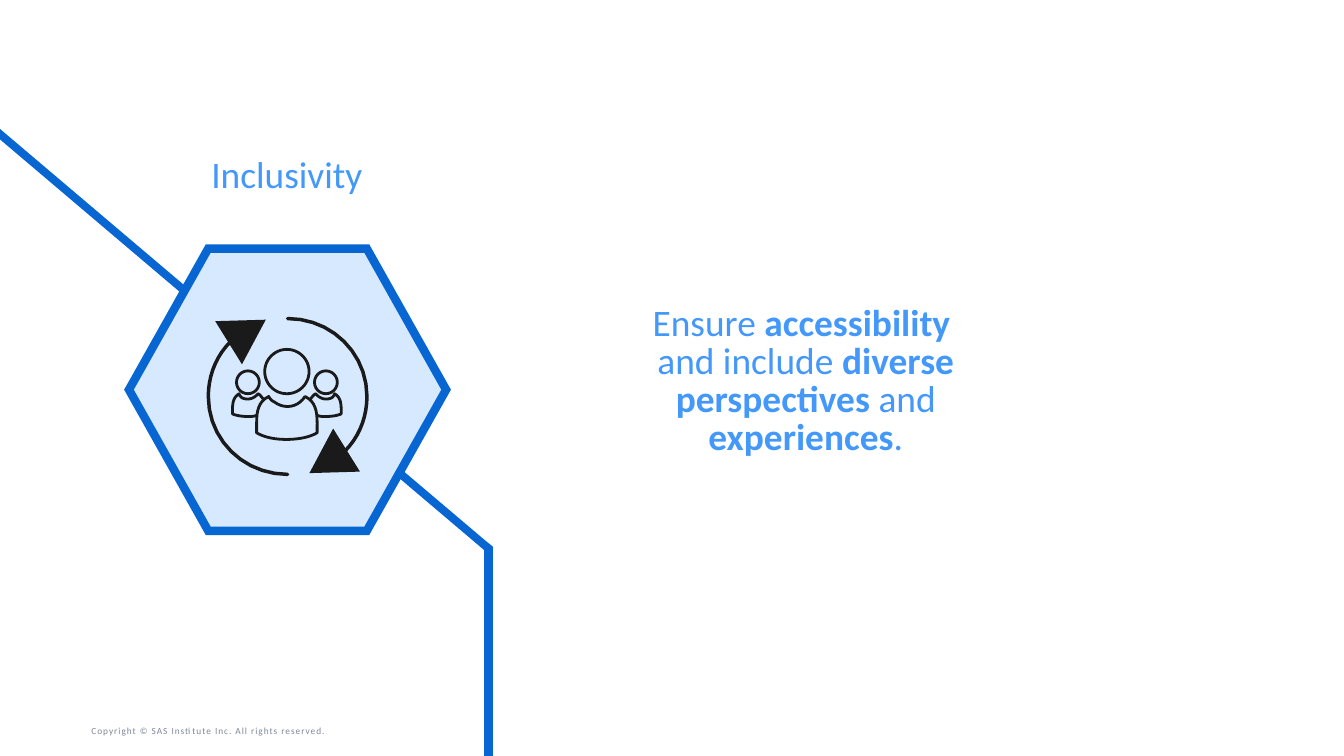
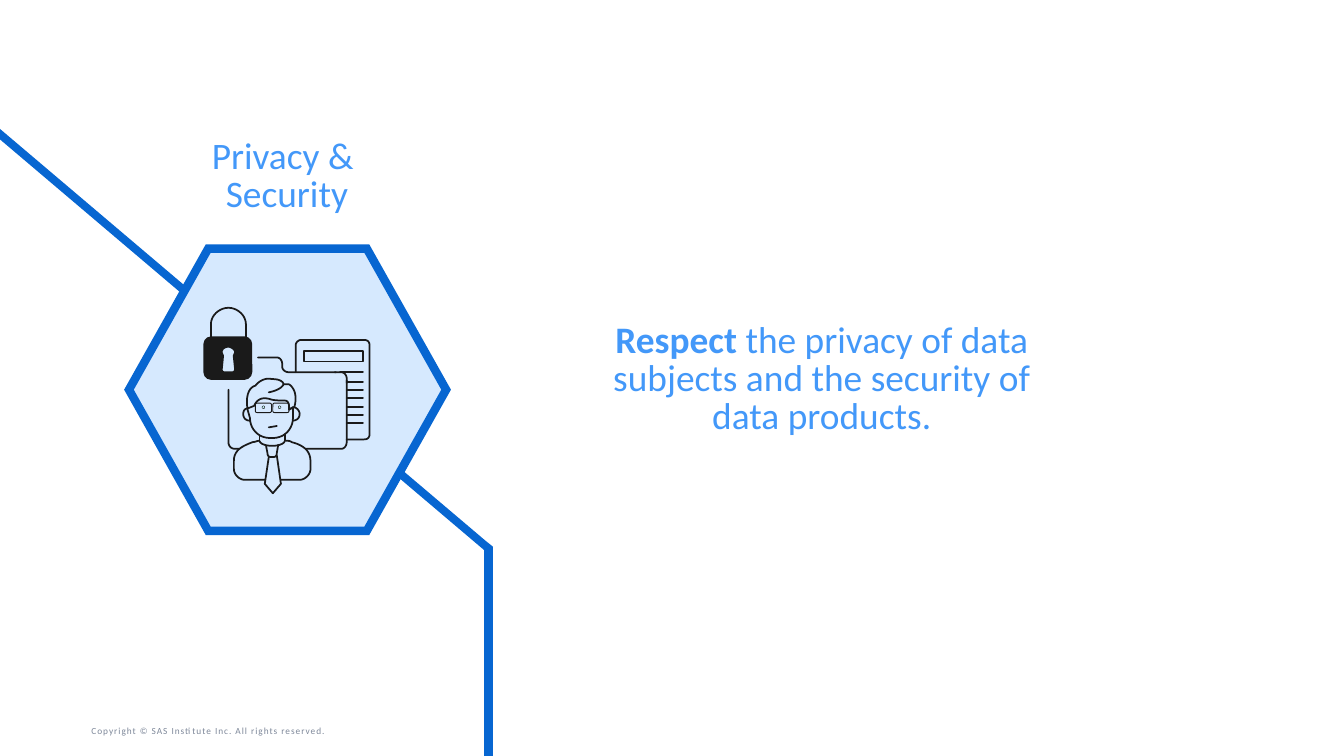
from lxml.etree import SubElement
from pptx import Presentation
from pptx.dml.color import RGBColor as RGB
from pptx.enum.shapes import MSO_CONNECTOR as CONN, MSO_SHAPE as SHAPE
from pptx.enum.text import MSO_ANCHOR as ANCHOR, MSO_AUTO_SIZE as AUTO, PP_ALIGN as ALIGN
from pptx.oxml.ns import qn
from pptx.util import Pt

PX = 9144
STEPS = 10
FONT = "Calibri"
COLORS = {
    "text": "4398F9",
    "footer": "7E889A",
    "band": "0766D1",
    "pale": "D6E9FE",
    "ink": "1A1A1A",
    "pupil": "BEF1F1",
    "white": "FFFFFF",
}

BAND = "M -21 79 L 361 403 L 366 407 L 366 571 L 361 571 L 361 409 L -21 85 Z"
HEXAGON = "M 273 185 L 155 185 L 96 290 L 155 395 L 273 395 L 332 290 Z"

CYCLE_ARC = "M 214 353 C 181 353 155 327 155 295 C 155 278 162 262 175 251"
CYCLE_HEAD = "M 180 269 L 196 239 L 162 240 Z"
HALF_TURN = (428, 590)
SIDE_BODY = (
    "M 231 297 C 232 296 233 294 235 293 C 238 297 243 298 247 296 C 248 295 249 294 249 293 "
    "C 254 296 254 301 254 308 C 254 308 250 310 242 310 C 240 310 238 310 236 309"
)
MIRROR = (427, None)
FRONT_BODY = (
    "M 227 295 C 222 303 212 305 204 299 C 202 298 201 297 200 295 C 190 300 191 310 191 322 "
    "C 191 322 198 327 213 327 C 229 327 236 322 236 322 C 236 310 237 300 227 295 Z"
)

SHACKLE = "M 183 251 L 183 241 C 183 235 177 229 170 229 C 163 229 157 235 157 241 L 157 251"
KEYHOLE = (
    "M 166 265 C 166 264 165 263 165 262 C 165 260 167 258 170 258 C 172 258 175 260 175 262 "
    "C 175 263 174 264 174 265 L 175 275 C 175 276 174 277 173 277 L 167 277 "
    "C 166 277 165 276 165 275 Z"
)
DOCUMENT = [
    "M 220 277 L 220 257 C 220 255 222 253 224 253 L 271 253 C 274 253 275 255 275 257 "
    "L 275 323 C 275 325 274 327 271 327 L 258 327",
    "M 226 261 L 270 261 L 270 269 L 226 269 Z",
]
SCREEN = [
    "M 258 283 L 258 329 C 258 332 256 334 254 334 L 228 334",
    "M 170 290 L 170 329 C 170 332 172 334 175 334 L 178 334",
    "M 250 277 L 215 277 C 212 277 210 275 210 273 L 210 271 C 210 268 208 266 206 266 L 192 266",
    "M 249 277 L 254 277 C 256 277 258 279 258 282 L 258 285",
]
PERSON = [
    "M 186 313 C 183 313 181 311 181 308 C 181 306 182 304 184 304",
    "M 218 313 C 221 313 223 311 223 308 C 223 306 221 303 218 303 C 218 303 217 304 216 304",
    "M 218 303 L 218 311 C 218 319 212 326 203 326 L 201 326 C 192 326 186 319 186 311 L 184 304",
    "M 184 304 C 182 288 190 287 190 287 C 193 283 198 281 202 282 C 211 282 211 286 211 286 "
    "C 212 286 214 286 215 286 C 217 287 222 292 219 303 C 219 303 216 304 215 305 "
    "C 215 305 216 298 212 298 C 208 298 204 298 201 297 C 198 296 192 295 189 302 Z",
    "M 211 286 C 211 286 210 290 200 292",
    "M 212 328 C 211 333 194 333 193 328 C 191 328 190 329 188 329 C 180 332 174 335 174 343 "
    "L 174 349 C 174 353 178 357 182 357 L 197 357",
    "M 213 328 C 214 328 216 328 217 329 C 225 331 231 335 231 343 L 231 349 "
    "C 231 353 227 357 223 357 L 209 357",
    "M 206 339 L 209 360 L 203 367 L 197 360 L 200 340",
    "M 207 331 L 206 337 C 206 339 205 340 204 340 L 201 340 C 200 340 199 339 199 337 L 198 332",
]
NECK_AND_MOUTH = [(193, 324, 193, 328), (212, 323, 212, 328), (200, 318, 206, 317)]


def px(*values):
    """Turn px lengths into EMU."""
    return [round(v * PX) for v in values]


def color(name):
    """Look up a colour by name."""
    return RGB.from_string(COLORS[name])


def curve(a, b, c, d):
    """Return the points of a cubic curve after its start."""
    points = []
    for i in range(1, STEPS + 1):
        t = i / STEPS
        u = 1 - t
        points.append(tuple(
            u**3 * p + 3 * u * u * t * q + 3 * u * t * t * r + t**3 * s
            for p, q, r, s in zip(a, b, c, d)
        ))
    return points


def outline(path):
    """Read a path of M, L, C and Z steps as points."""
    points = []
    tokens = iter(path.split())
    for step in tokens:
        if step == "Z":
            break
        values = [int(next(tokens)) for _ in range(6 if step == "C" else 2)]
        pairs = list(zip(values[::2], values[1::2]))
        points += curve(points[-1], *pairs) if step == "C" else pairs
    return points


def style_line(line, name, width):
    """Set line colour and width, with round ends."""
    line.color.rgb = color(name)
    line.width = Pt(width)
    line._get_or_add_ln().set("cap", "rnd")


def style(shape, fill, line, width):
    """Set fill and line of a shape without shadow."""
    shape.shadow.inherit = False
    if fill:
        shape.fill.solid()
        shape.fill.fore_color.rgb = color(fill)
    else:
        shape.fill.background()
    style_line(shape.line, line, width)
    return shape


def add_path(shapes, path, fill=None, line="ink", width=0.94, flip=(None, None)):
    """Draw a path, flipped about the given coordinate sums."""
    points = [
        px(*(v if total is None else total - v for v, total in zip(point, flip)))
        for point in outline(path)
    ]
    builder = shapes.build_freeform(*points[0])
    builder.add_line_segments(points[1:], close=path.endswith("Z"))
    return style(builder.convert_to_shape(), fill, line, width)


def sharpen(shape):
    """Give the line of a shape pointed corners."""
    SubElement(shape.line._get_or_add_ln(), qn("a:miter"), lim="800000")


def add_preset(shapes, kind, box, fill=None, width=1.0):
    """Draw a preset shape with an ink line."""
    return style(shapes.add_shape(kind, *px(*box)), fill, "ink", width)


def add_stroke(shapes, ends, width=0.94):
    """Draw a straight ink line."""
    c = shapes.add_connector(CONN.STRAIGHT, *px(*ends))
    style_line(c.line, "ink", width)
    SubElement(c._element.spPr, qn("a:effectLst"))


def set_frame(tf, margins, anchor, auto=AUTO.NONE):
    """Set wrapping, margins and anchor of a text frame."""
    tf.word_wrap = True
    tf.auto_size = auto
    tf.vertical_anchor = anchor
    tf.margin_left, tf.margin_top, tf.margin_right, tf.margin_bottom = px(*margins)


def set_font(p, size, name):
    """Set the paragraph font."""
    p.font.name = FONT
    p.font.size = Pt(size)
    p.font.color.rgb = color(name)


def write_message(shape, box, runs):
    """Place a shape and fill it with centred (text, bold) runs."""
    shape.left, shape.top, shape.width, shape.height = px(*box)
    tf = shape.text_frame
    set_frame(tf, (0, 0, 0, 0), ANCHOR.MIDDLE)
    p = tf.paragraphs[0]
    p.alignment = ALIGN.CENTER
    p.line_spacing = 0.85
    p.space_before = Pt(0)
    set_font(p, 20, "text")
    for text, bold in runs:
        for i, part in enumerate(text.split("\n")):
            if i:
                p.add_line_break()
            if part:
                r = p.add_run()
                r.text = part
                r.font.bold = bold


def add_footer(s):
    """Add the copyright line."""
    tf = s.shapes.add_textbox(*px(68, 534, 275, 19)).text_frame
    set_frame(tf, (0, 5, 10, 5), ANCHOR.BOTTOM, AUTO.SHAPE_TO_FIT_TEXT)
    p = tf.paragraphs[0]
    set_font(p, 5, "footer")
    r = p.add_run()
    r.text = "Copyright © SAS Institute Inc. All rights reserved."
    r._r.get_or_add_rPr().set("spc", "50")


def add_principle(prs, heading, message, left, top):
    """Add a slide with footer, band, hexagon, heading and message."""
    s = prs.slides.add_slide(prs.slide_layouts[5])
    add_footer(s)
    for path, fill, width in ((BAND, "band", 1), (HEXAGON, "pale", 4.5)):
        sharpen(add_path(s.shapes, path, fill, "band", width))
    write_message(s.shapes.title, (102, 93, 223, 77), [(heading, False)])
    box = s.shapes.add_textbox(0, 0, 0, 0)
    box.fill.solid()
    box.fill.fore_color.rgb = color("white")
    write_message(box, (left, top, 331, 131), message)
    return s


def add_people_icon(s):
    """Draw three people inside a cycle of two arrows."""
    g = s.shapes.add_group_shape().shapes
    for flip in ((None, None), HALF_TURN):
        add_path(g, CYCLE_ARC, width=1.88, flip=flip)
        sharpen(add_path(g, CYCLE_HEAD, "ink", width=1.5, flip=flip))
    add_preset(g, SHAPE.OVAL, (197, 260, 33, 33), "pale", 1.5)
    for flip, left in (((None, None), 234), (MIRROR, 176)):
        add_path(g, SIDE_BODY, "pale", width=1.5, flip=flip)
        add_preset(g, SHAPE.OVAL, (left, 276, 17, 17), "pale", 1.5)
    add_path(g, FRONT_BODY, "pale", width=1.5)


def add_privacy_icon(s):
    """Draw a padlock, a document, a screen and a person."""
    g = s.shapes.add_group_shape().shapes
    add_path(g, SHACKLE)
    add_preset(g, SHAPE.ROUNDED_RECTANGLE, (152, 251, 35, 31), "ink")
    add_path(g, KEYHOLE, "pale", width=1)
    for path in DOCUMENT + SCREEN + PERSON:
        add_path(g, path)
    add_stroke(g, (253, 277, 270, 277))
    for y in (284, 290, 296, 303, 309, 315):
        add_stroke(g, (258, y, 270, y))
    for ends in NECK_AND_MOUTH:
        add_stroke(g, ends)
    for lens, pupil in ((190, 195), (203, 207)):
        add_preset(g, SHAPE.OVAL, (pupil, 302, 2, 2), "pupil", 0.23)
        add_preset(g, SHAPE.ROUNDED_RECTANGLE, (lens, 300, 12, 7), width=0.47)


def main():
    """Build both slides and save them."""
    prs = Presentation()
    prs.slide_width = 1000 * PX
    prs.slide_height = prs.slide_width * 9 // 16
    inclusivity = [
        ("Ensure ", False), ("accessibility \n", True), ("and include ", False),
        ("diverse perspectives ", True), ("and ", False), ("experiences", True), (".", False),
    ]
    privacy = [
        ("Respect", True),
        (" the privacy of data subjects and the security of data products.", False),
    ]
    add_people_icon(add_principle(prs, "Inclusivity", inclusivity, 434, 219))
    add_privacy_icon(add_principle(prs, "Privacy & \nSecurity", privacy, 446, 217))
    prs.save("out.pptx")


if __name__ == "__main__":
    main()
